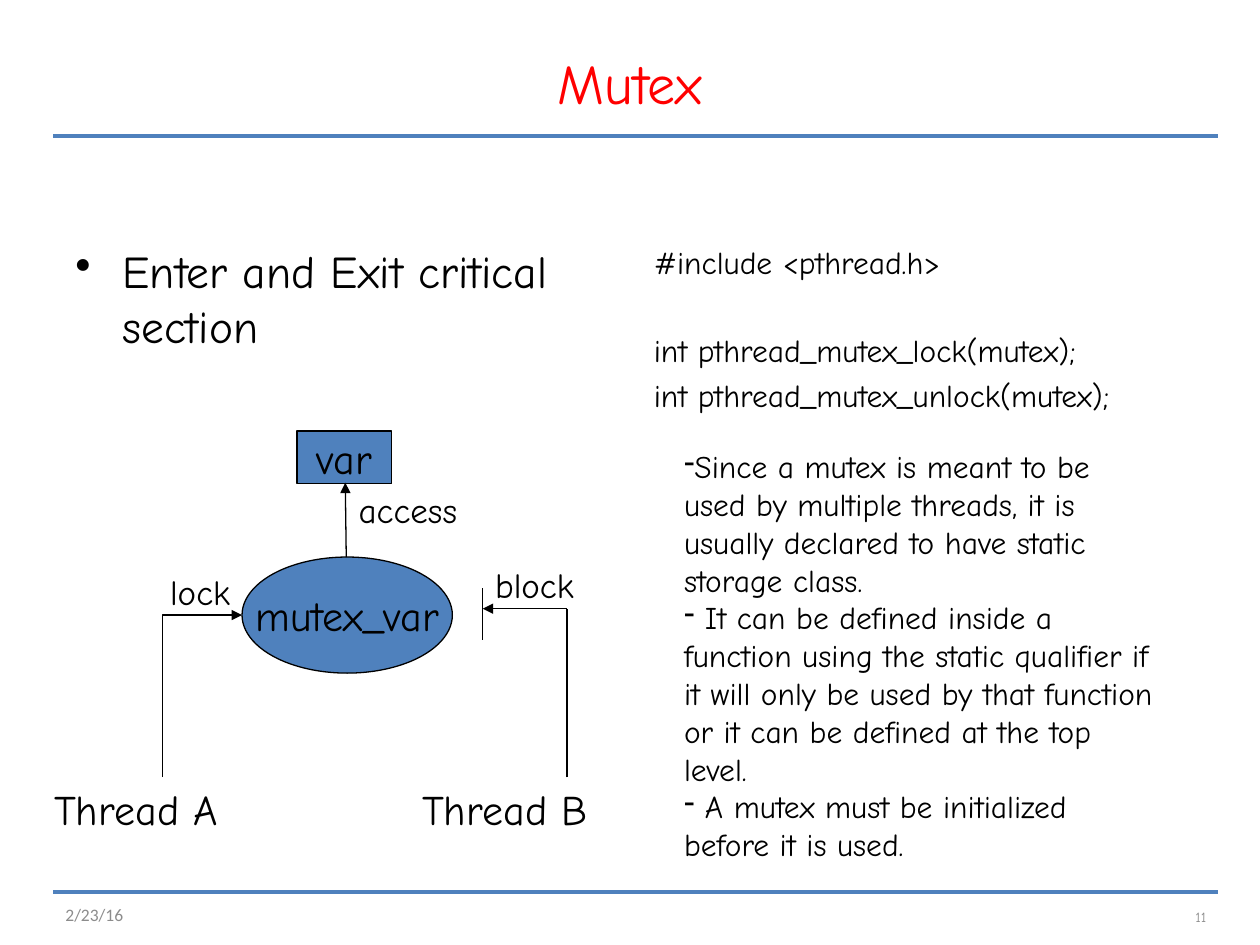
from dataclasses import dataclass

from lxml.etree import SubElement
from pptx import Presentation
from pptx.dml.color import RGBColor
from pptx.enum.shapes import MSO_CONNECTOR as Link, MSO_SHAPE as Preset
from pptx.enum.text import MSO_ANCHOR as Anchor, PP_ALIGN as Align
from pptx.oxml.ns import qn
from pptx.util import Cm, Pt


@dataclass(frozen=True)
class Theme:
    hand: str = "Comic Neue"
    plain: str = "Calibri"
    ink: RGBColor = RGBColor(0, 0, 0)
    accent: RGBColor = RGBColor(0x4F, 0x81, 0xBD)
    title_color: RGBColor = RGBColor(0xFF, 0, 0)
    muted: RGBColor = RGBColor(0x8C, 0x8C, 0x8C)
    title: int = 32
    body: int = 26
    node: int = 24
    label: int = 20
    text: int = 18
    date: int = 10
    number: int = 8


THEME = Theme()


def set_text(shape, lines, size, color=THEME.ink, font=THEME.hand,
             align=Align.LEFT, anchor=Anchor.TOP, wrap=True):
    frame = shape.text_frame
    frame.text = "\n".join(lines)
    frame.word_wrap = wrap
    frame.vertical_anchor = anchor
    for para in frame.paragraphs:
        para.alignment = align
        para.font.size = Pt(size)
        para.font.name = font
        para.font.color.rgb = color
    return frame.paragraphs


def add_text(slide, place, lines, size, **style):
    box = slide.shapes.add_textbox(*map(Cm, place))
    return set_text(box, lines, size, **style)


def add_bullet(para, mark, indent=0):
    props = para._p.get_or_add_pPr()
    props.set("marL", str(Cm(indent)))
    props.set("indent", str(-Cm(indent)))
    SubElement(props, qn("a:buChar")).set("char", mark)


def add_node(slide, preset, place, label):
    node = slide.shapes.add_shape(preset, *map(Cm, place))
    node.shadow.inherit = False
    node.fill.solid()
    node.fill.fore_color.rgb = THEME.accent
    node.line.color.rgb = THEME.ink
    node.line.width = Pt(0.75)
    set_text(node, [label], THEME.node, align=Align.CENTER,
             anchor=Anchor.MIDDLE, wrap=False)


def add_line(slide, start, end, color=THEME.ink, width=0.75, arrow=False,
             kind=Link.STRAIGHT):
    line = slide.shapes.add_connector(kind, *map(Cm, (*start, *end)))
    line.line.color.rgb = color
    line.line.width = Pt(width)
    if arrow:
        SubElement(line.line._get_or_add_ln(), qn("a:tailEnd")).set("type", "triangle")
    SubElement(line._element.spPr, qn("a:effectLst"))
    return line


def add_corner_arrow(slide, start, end):
    middle_x, middle_y = (start[0] + end[0]) / 2, (start[1] + end[1]) / 2
    half_w, half_h = abs(end[1] - start[1]) / 2, abs(end[0] - start[0]) / 2
    line = add_line(slide, (middle_x + half_w, middle_y + half_h),
                    (middle_x - half_w, middle_y - half_h),
                    arrow=True, kind=Link.ELBOW)
    props = line._element.spPr
    props.find(qn("a:xfrm")).set("rot", str(90 * 60000))
    props.find(qn("a:prstGeom")).set("prst", "bentConnector2")


def add_frame(slide):
    for y in (2.74, 17.98):
        add_line(slide, (1.07, y), (24.56, y), THEME.accent, 2)
    title = slide.shapes.title
    title.left, title.top, title.width, title.height = map(Cm, (1.27, 0.76, 22.86, 1.78))
    set_text(title, ["Mutex"], THEME.title, color=THEME.title_color,
             align=Align.CENTER, anchor=Anchor.MIDDLE)
    add_text(slide, (22.23, 17.98, 2.34, 1.02), ["11"], THEME.number,
             color=THEME.muted, align=Align.RIGHT, anchor=Anchor.MIDDLE)
    add_text(slide, (1.07, 18.03, 3.81, 0.81), ["2/23/16"], THEME.date,
             color=THEME.muted, font=THEME.plain, anchor=Anchor.MIDDLE)


def add_copy(slide):
    body = add_text(slide, (1.27, 4.78, 11.2, 12.24),
                    ["Enter and Exit critical section"], THEME.body)
    add_bullet(body[0], "•", 0.95)

    code = add_text(slide, (12.93, 4.78, 11.2, 4.55),
                    ["#include <pthread.h>",
                     "int pthread_mutex_lock(mutex);",
                     "int pthread_mutex_unlock(mutex);"], THEME.text)
    code[1].space_before = Pt(28.8)
    code[2].space_before = Pt(3.6)

    notes = add_text(slide, (13.54, 8.89, 9.96, 8.64), [
        "Since a mutex is meant to be used by multiple threads, it is usually "
        "declared to have static storage class. ",
        " It can be defined inside a function using the static qualifier if it "
        "will only be used by that function or it can be defined at the top level. ",
        " A mutex must be initialized before it is used."], THEME.text)
    for para in notes:
        add_bullet(para, "-")


def add_diagram(slide):
    add_node(slide, Preset.OVAL, (4.88, 11.23, 4.24, 2.34), "mutex_var")
    add_node(slide, Preset.RECTANGLE, (5.99, 8.69, 1.91, 1.06), "var")
    add_line(slide, (6.98, 11.23), (6.96, 9.73), arrow=True)
    add_corner_arrow(slide, (3.28, 15.67), (4.88, 12.4))
    add_line(slide, (9.73, 11.86), (9.73, 12.9))
    add_line(slide, (11.43, 15.67), (11.43, 12.27))
    add_line(slide, (11.43, 12.27), (9.73, 12.27), arrow=True)
    for label, place, size in (
        ("Thread A", (0.84, 15.67, 4.88, 1.27), THEME.node),
        ("Thread B", (8.26, 15.67, 4.65, 1.27), THEME.node),
        ("lock", (3.18, 11.38, 1.91, 1.09), THEME.label),
        ("block", (9.73, 11.23, 2.34, 1.09), THEME.label),
        ("access", (6.98, 9.73, 2.74, 1.12), THEME.label),
    ):
        add_text(slide, place, [label], size)


def main():
    deck = Presentation()
    deck.slide_width, deck.slide_height = Cm(25.4), Cm(19.05)
    slide = deck.slides.add_slide(deck.slide_layouts[5])
    add_frame(slide)
    add_copy(slide)
    add_diagram(slide)
    deck.save("out.pptx")


main()
